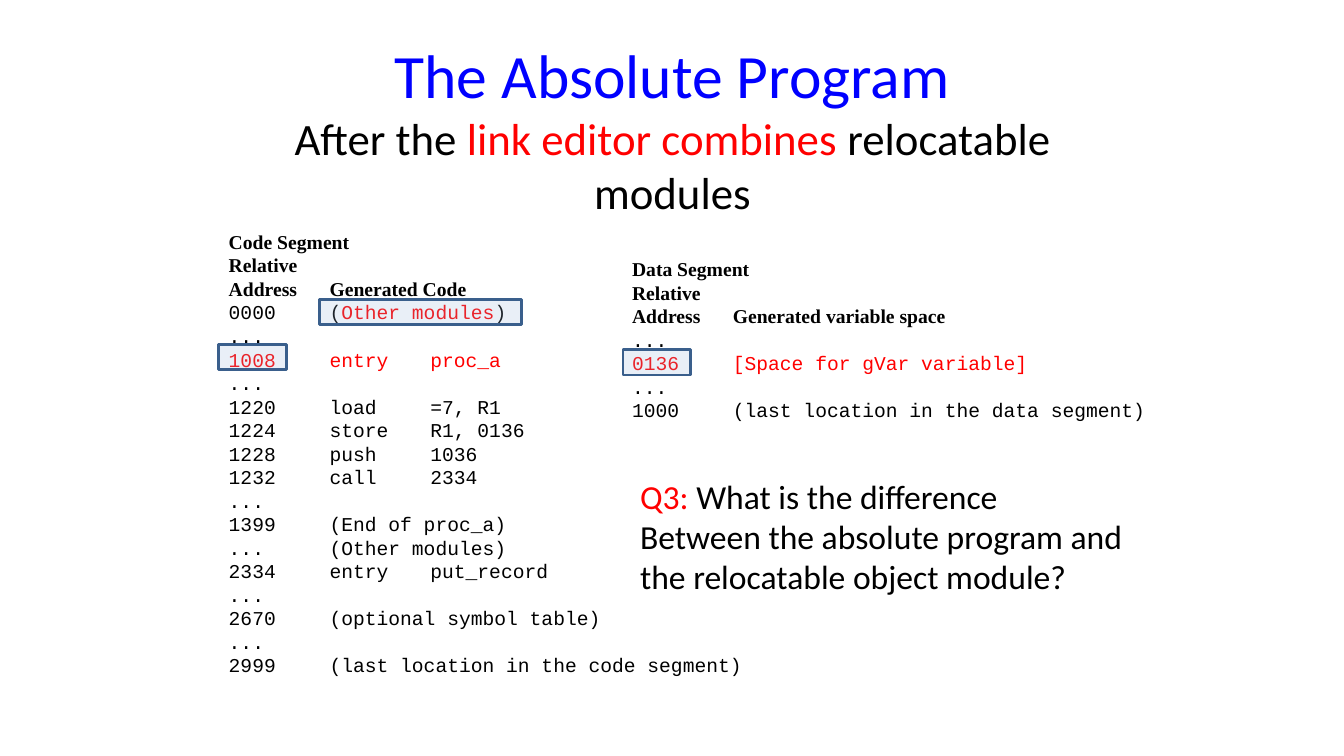
from lxml import etree
from pptx import Presentation
from pptx.dml.color import RGBColor
from pptx.enum.shapes import MSO_SHAPE
from pptx.enum.text import MSO_ANCHOR, PP_ALIGN
from pptx.oxml.ns import qn
from pptx.util import Inches, Pt

BLACK = RGBColor(0x00, 0x00, 0x00)
RED = RGBColor(0xFF, 0x00, 0x00)
TITLE_BLUE = RGBColor(0x00, 0x00, 0xFF)
BOX_FILL = RGBColor(0x95, 0xB3, 0xD7)
BOX_LINE = RGBColor(0x3A, 0x5F, 0x8C)
RECTANGLE = MSO_SHAPE.RECTANGLE
MIDDLE = MSO_ANCHOR.MIDDLE
CENTER = PP_ALIGN.CENTER


def add_runs(paragraph, marked_text, font_name, size, color=BLACK, bold=False):
    """Append text in which parts between bars are red and a newline breaks the line."""
    for index, part in enumerate(marked_text.split("|")):
        for line_number, line in enumerate(part.split("\n")):
            if line_number:
                paragraph.add_line_break()
            if not line:
                continue
            run = paragraph.add_run()
            run.text = line
            run.font.name = font_name
            run.font.size = Pt(size)
            run.font.bold = bold
            run.font.color.rgb = RED if index % 2 else color


def add_text_frame(slide, left, top, width, height, wrap):
    box = slide.shapes.add_textbox(Inches(left), Inches(top), Inches(width), Inches(height))
    box.text_frame.word_wrap = wrap
    return box.text_frame


presentation = Presentation()
presentation.slide_width = Inches(13.33)
presentation.slide_height = Inches(7.5)
slide = presentation.slides.add_slide(presentation.slide_layouts[6])

# Title
title_frame = add_text_frame(slide, 2.17, 0.3, 9, 1.93, True)
title_frame.vertical_anchor = MIDDLE
title = title_frame.paragraphs[0]
title.alignment = CENTER
add_runs(title, "The Absolute Program\n", "Calibri", 44, TITLE_BLUE)
add_runs(title, "After the |link editor combines| relocatable modules", "Calibri", 32)

# Segment listings: position, bold headings, then code lines
segments = [
    (2.17, 2.23, 4.58,
     ["Code Segment", "Relative\nAddress\tGenerated Code"],
     ["0000\t(|Other modules|)",
      "...",
      "|1008\tentry\tproc_a|",
      "...",
      "1220\tload\t=7, R1",
      "1224\tstore\tR1, 0136",
      "1228\tpush\t1036",
      "1232\tcall\t2334",
      "...",
      "1399\t(End of proc_a)",
      "... \t(Other modules)",
      "2334\tentry\tput_record",
      "...",
      "2670\t(optional symbol table)",
      "...",
      "2999\t(last location in the code segment)"]),
    (6.17, 2.5, 1.75,
     ["Data Segment", "Relative\nAddress\tGenerated variable space"],
     ["...",
      "|0136\t[Space for gVar variable]|",
      "...",
      "1000\t(last location in the data segment)"]),
]
for left, top, height, headings, code_lines in segments:
    segment_frame = add_text_frame(slide, left, top, 5.32, height, False)
    for index, line in enumerate(headings + code_lines):
        paragraph = segment_frame.add_paragraph() if index else segment_frame.paragraphs[0]
        is_heading = index < len(headings)
        font_name = "Times New Roman" if is_heading else "Courier New"
        add_runs(paragraph, line, font_name, 14, bold=is_heading)
        tab_list = etree.SubElement(paragraph._p.get_or_add_pPr(), qn("a:tabLst"))
        for column in (1, 2):
            etree.SubElement(tab_list, qn("a:tab"), pos=str(Inches(column)), algn="l")

# Question
question_frame = add_text_frame(slide, 6.25, 4.67, 5.11, 1.31, True)
add_runs(question_frame.paragraphs[0], "|Q3:| What is the difference", "Calibri", 24)
add_runs(question_frame.add_paragraph(),
         "Between the absolute program and the relocatable object module?", "Calibri", 24)

# Translucent highlight boxes
for left, top, width in [(3.17, 2.97, 2), (2.17, 3.42, 0.67), (6.18, 3.47, 0.67)]:
    highlight = slide.shapes.add_shape(
        RECTANGLE, Inches(left), Inches(top), Inches(width), Inches(0.25))
    highlight.shadow.inherit = False
    highlight.fill.solid()
    highlight.fill.fore_color.rgb = BOX_FILL
    highlight.line.color.rgb = BOX_LINE
    highlight.line.width = Pt(2)
    fill_color = highlight.fill._xPr.find(qn("a:solidFill")).find(qn("a:srgbClr"))
    etree.SubElement(fill_color, qn("a:alpha")).set("val", "20000")

presentation.save("out.pptx")
